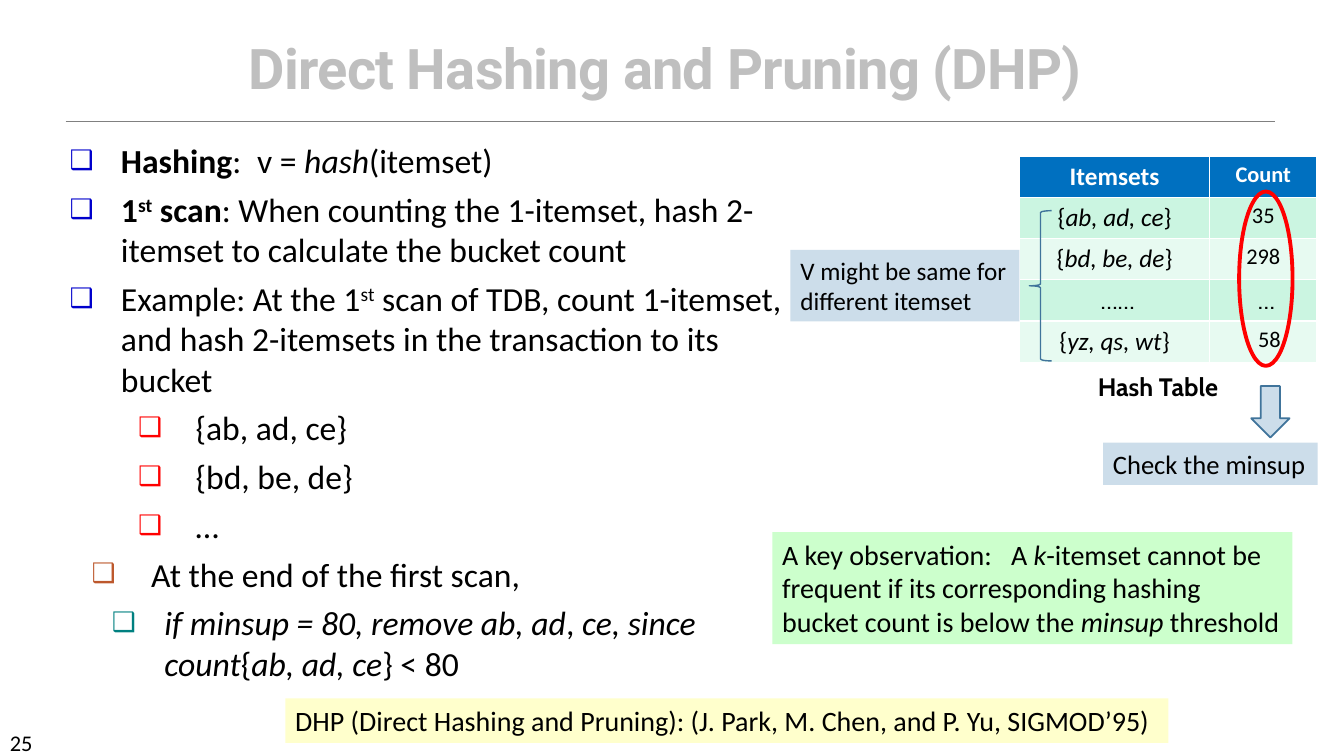
import collections

import lxml.etree
import pptx
import pptx.dml.color
import pptx.enum.shapes
import pptx.enum.text
import pptx.oxml.ns
import pptx.util

Inches = pptx.util.Inches
SHAPES = pptx.enum.shapes.MSO_SHAPE
ALIGN = pptx.enum.text.PP_ALIGN
ANCHOR = pptx.enum.text.MSO_ANCHOR
AUTO_SIZE = pptx.enum.text.MSO_AUTO_SIZE

Box = collections.namedtuple("Box", "left top width height")
PALE_BLUE, STEEL = "CCDDEA", "40749B"

# Outline kinds: level, text indent, hanging indent, bullet colour
POINT = (0, 0.51, 0.51, "0000CC")
ITEMSET = (3, 1.25, 0.57, "FF0000")
STEP = (1, 0.81, 0.59, "BD582C")
DETAIL = (2, 0.94, 0.52, "008080")

# Runs are (text, style); in a style b is bold, i italic and ^ superscript
OUTLINE = [
    (POINT, [("Hashing", "b"), (":\tv = ", ""), ("hash", "i"), ("(itemset)", "")]),
    (POINT, [("1", "b"), ("st", "b^"), (" scan", "b"),
             (": When counting the 1-itemset, hash 2-itemset to calculate the bucket count", "")]),
    (POINT, [("Example: At the 1", ""), ("st", "^"),
             (" scan of TDB, count 1-itemset, and hash 2-itemsets in the transaction to its bucket", "")]),
    (ITEMSET, [("{ab, ad, ce}", "")]),
    (ITEMSET, [("{bd, be, de}", "")]),
    (ITEMSET, [("…", "")]),
    (STEP, [("At the end of the first scan,", "")]),
    (DETAIL, [("if minsup = 80, remove ab, ad", "i"), (", ", ""), ("ce, since count", "i"),
              ("{", ""), ("ab, ad, ce", "i"), ("} < 80", "")]),
]
BUCKETS = [("ab, ad, ce", "35"), ("bd, be, de", "298"), (None, "…"), ("yz, qs, wt", "58")]
OBSERVATION = [
    ("A key observation:\tA ", ""), ("k", "i"),
    ("-itemset cannot be frequent if its corresponding hashing bucket count is below the ", ""),
    ("minsup", "i"), (" threshold", "")]


def color(value):
    return pptx.dml.color.RGBColor.from_string(value)


def place(shape, box):
    shape.left, shape.top, shape.width, shape.height = (Inches(length) for length in box)


def add_runs(para, runs, size, font="Calibri", ink="000000"):
    for text, style in runs:
        span = para.add_run()
        span.text = text
        span.font.name = font
        span.font.size = pptx.util.Pt(size)
        span.font.color.rgb = color(ink)
        span.font.bold = "b" in style
        span.font.italic = "i" in style
        if "^" in style:
            span.font._element.set("baseline", "30000")


def add_element(parent, tag, **attributes):
    return lxml.etree.SubElement(parent, pptx.oxml.ns.qn(tag), attributes)


def add_tab(para, offset):
    tabs = add_element(para._p.get_or_add_pPr(), "a:tabLst")
    add_element(tabs, "a:tab", pos=str(Inches(offset)), algn="l")


def add_label(page, box, runs, size, font="Calibri", wrap=True):
    label = page.shapes.add_textbox(*(Inches(length) for length in box))
    label.text_frame.word_wrap = wrap
    para = label.text_frame.paragraphs[0]
    add_runs(para, runs, size, font)
    return label


def add_note(page, box, runs, size, fill, wrap=True):
    note = add_label(page, box, runs, size, wrap=wrap)
    note.fill.solid()
    note.fill.fore_color.rgb = color(fill)
    return note


def add_mark(page, preset, box, ink, weight, fill=None):
    mark = page.shapes.add_shape(preset, *(Inches(length) for length in box))
    mark.shadow.inherit = False
    mark.line.color.rgb = color(ink)
    mark.line.width = pptx.util.Pt(weight)
    if fill:
        mark.fill.solid()
        mark.fill.fore_color.rgb = color(fill)
    else:
        mark.fill.background()


def add_heading(page, box):
    title = page.shapes.title
    place(title, box)
    title.text_frame.vertical_anchor = ANCHOR.BOTTOM
    title.text_frame.auto_size = AUTO_SIZE.NONE
    para = title.text_frame.paragraphs[0]
    para.alignment = ALIGN.CENTER
    para.line_spacing = 0.85
    add_runs(para, [("Direct Hashing and Pruning (DHP)", "b")], 40, "Roboto", "BFBFBF")
    para.runs[0].font._element.set("spc", "-50")

    # Rule under the title
    left, rule_top = box.left + 0.27, box.top + 0.96
    rule = page.shapes.add_connector(
        pptx.enum.shapes.MSO_CONNECTOR.STRAIGHT,
        Inches(left), Inches(rule_top), Inches(left + 12), Inches(rule_top))
    rule.line.color.rgb = color("808080")
    rule.line.width = pptx.util.Pt(0.5)
    add_element(rule._element.spPr, "a:effectLst")


def add_outline(page, box):
    body = page.placeholders[1]
    place(body, box)
    frame = body.text_frame
    frame.auto_size = AUTO_SIZE.NONE
    frame.vertical_anchor = ANCHOR.TOP
    for index, (kind, runs) in enumerate(OUTLINE):
        level, indent, hanging, bullet_color = kind
        para = frame.add_paragraph() if index else frame.paragraphs[0]
        para.level = level
        para.space_before = pptx.util.Pt(6 if index else 0)
        properties = para._p.get_or_add_pPr()
        properties.set("marL", str(Inches(indent)))
        properties.set("indent", str(Inches(-hanging)))
        add_element(add_element(properties, "a:buClr"), "a:srgbClr", val=bullet_color)
        add_element(properties, "a:buSzPct", val="80000")
        add_element(properties, "a:buChar", char="❑")
        if index == 0:
            add_tab(para, 1.86)
        add_runs(para, runs, 24)


def fill_cell(cell, fill, runs, size, font="Calibri", ink="000000", shift=0):
    cell.fill.solid()
    cell.fill.fore_color.rgb = color(fill)
    cell.margin_left = Inches(0.13 + shift)
    cell.margin_right = Inches(0.13)
    para = cell.text_frame.paragraphs[0]
    para.alignment = ALIGN.CENTER
    add_runs(para, runs, size, font, ink)


def add_hash_table(page, box):
    frame = page.shapes.add_table(len(BUCKETS) + 1, 2, *(Inches(length) for length in box))
    table = frame.table
    for column, width in zip(table.columns, (1.89, 1.06)):
        column.width = Inches(width)
    for index, row in enumerate(table.rows):
        row.height = Inches(0.41 if index else 0.39)
    for column, (heading, size) in enumerate((("Itemsets", 18), ("Count", 16))):
        fill_cell(table.cell(0, column), "0070C0", [(heading, "b")], size, ink="FFFFFF")
    for row, (itemset, count) in enumerate(BUCKETS, 1):
        fill = "CBF5E1" if row % 2 else "E7FAF1"
        if itemset:
            runs = [("{", ""), (itemset, "i"), ("}", "")]
            fill_cell(table.cell(row, 0), fill, runs, 18)
            fill_cell(table.cell(row, 1), fill, [(count, "")], 16,
                      shift=0.12 if row == len(BUCKETS) else 0)
        else:
            fill_cell(table.cell(row, 0), fill, [("……", "")], 18, "Cabin", shift=0.06)
            fill_cell(table.cell(row, 1), fill, [(count, "")], 18, "Cabin", shift=0.06)

    # Caption, collision note and brace
    left, top = box.left, box.top
    add_label(page, Box(left + 0.68, top + 2.08, 1.6, 0.4), [("Hash Table", "b")], 18, "Cabin", wrap=False)
    add_note(page, Box(left - 2.27, top + 0.93, 2.27, 0.71),
             [("V might be same for different itemset", "")], 18, PALE_BLUE)
    add_mark(page, SHAPES.LEFT_BRACE, Box(left + 0.1, top + 0.54, 0.22, 1.49), STEEL, 1)

    # Circled counts lead to the minsup check
    add_mark(page, SHAPES.OVAL, Box(left + 2.18, top + 0.35, 0.53, 1.73), "FF0000", 2.75)
    add_note(page, Box(left + 0.83, top + 2.84, 2.13, 0.42),
             [("Check the minsup", "")], 19, PALE_BLUE, wrap=False)
    add_mark(page, SHAPES.DOWN_ARROW, Box(left + 2.3, top + 2.28, 0.38, 0.51), STEEL, 1.25, PALE_BLUE)


def add_observation(page, box):
    note = add_note(page, box, [], 20, "CCFFCC")
    para = note.text_frame.paragraphs[0]
    add_tab(para, 2.27)
    add_runs(para, OBSERVATION, 20)


def main():
    deck = pptx.Presentation()
    deck.slide_width, deck.slide_height = Inches(13.33), Inches(7.5)
    page = deck.slides.add_slide(deck.slide_layouts[1])
    add_heading(page, Box(0.38, 0.24, 12.43, 0.81))
    add_outline(page, Box(0.59, 1.34, 7.58, 5.58))
    add_hash_table(page, Box(10.11, 1.55, 2.95, 2.03))
    add_observation(page, Box(7.66, 5.28, 5.16, 1.11))
    add_note(page, Box(2.83, 6.93, 8.76, 0.44),
             [("DHP (Direct Hashing and Pruning): (J. Park, M. Chen, and P. Yu, SIGMOD’95)", "")],
             20, "FFFFCC")
    add_label(page, Box(0, 7.18, 1.17, 0.3), [("25", "")], 16)
    deck.save("out.pptx")


if __name__ == "__main__":
    main()
